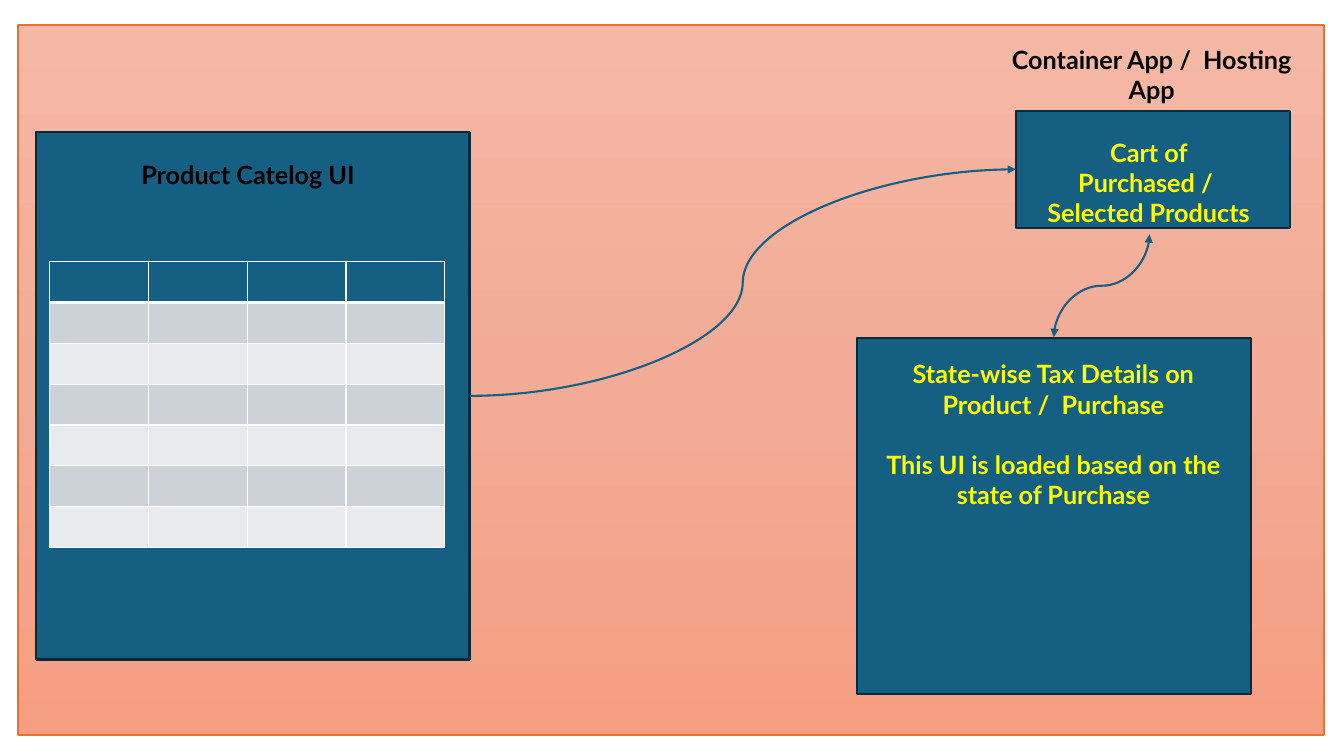
from lxml.etree import SubElement
from pptx import Presentation
from pptx.dml.color import RGBColor
from pptx.enum.shapes import MSO_CONNECTOR, MSO_SHAPE
from pptx.enum.text import MSO_AUTO_SIZE, PP_ALIGN
from pptx.oxml import parse_xml
from pptx.oxml.ns import nsdecls, qn
from pptx.util import Pt

HUES = {
    "blue": "156082", "navy": "092A39", "orange": "E97132",
    "white": "FFFFFF", "black": "000000", "yellow": "FFFF00",
    "dark": "CCD2D8", "light": "E8EAED",
    "top": "F5B8A5", "mid": "F2AB96", "base": "F59E82",
}


def hue(name):
    return RGBColor.from_string(HUES[name])


class Board:
    """Draws styled elements on the current slide, with lengths in points."""

    font = "Lato"
    size = 18

    def __init__(self, slide):
        self.slide = slide

    def panel(self, x, y, w, h, fill="blue", line="navy", width=1.5):
        box = self.slide.shapes.add_shape(
            MSO_SHAPE.RECTANGLE, Pt(x), Pt(y), Pt(w), Pt(h))
        box.shadow.inherit = False
        if isinstance(fill, tuple):
            stops = "".join(
                f'<a:gs pos="{i * 50000}"><a:srgbClr val="{HUES[name]}"/></a:gs>'
                for i, name in enumerate(fill))
            box._element.spPr.insert(2, parse_xml(
                f'<a:gradFill {nsdecls("a")}><a:gsLst>{stops}</a:gsLst>'
                '<a:lin ang="5400000" scaled="0"/></a:gradFill>'))
        else:
            box.fill.solid()
            box.fill.fore_color.rgb = hue(fill)
        box.line.color.rgb = hue(line)
        box.line.width = Pt(width)

    def label(self, x, y, w, h, color, *texts):
        box = self.slide.shapes.add_textbox(Pt(x), Pt(y), Pt(w), Pt(h))
        frame = box.text_frame
        frame.word_wrap = True
        frame.auto_size = MSO_AUTO_SIZE.SHAPE_TO_FIT_TEXT
        for i, text in enumerate(texts):
            para = frame.add_paragraph() if i else frame.paragraphs[0]
            para.alignment = PP_ALIGN.CENTER
            if i:
                para.space_before = Pt(21.6)
            run = para.add_run()
            run.text = text
            run.font.name = self.font
            run.font.size = Pt(self.size)
            run.font.bold = True
            run.font.color.rgb = hue(color)

    def grid(self, x, y, w, h, rows, cols):
        table = self.slide.shapes.add_table(
            rows, cols, Pt(x), Pt(y), Pt(w), Pt(h)).table
        for r in range(rows):
            for c in range(cols):
                cell = table.cell(r, c)
                cell.fill.solid()
                shade = ("light", "dark")[r % 2] if r else "blue"
                cell.fill.fore_color.rgb = hue(shade)
                self.edge(cell, top=3 if r == 1 else 1, base=1 if r else 3)

    def edge(self, cell, top, base):
        props = cell._tc.get_or_add_tcPr()
        sides = {"lnL": 1, "lnR": 1, "lnT": top, "lnB": base}
        for i, (tag, width) in enumerate(sides.items()):
            props.insert(i, parse_xml(
                f'<a:{tag} {nsdecls("a")} w="{Pt(width)}"><a:solidFill>'
                f'<a:srgbClr val="{HUES["white"]}"/></a:solidFill></a:{tag}>'))

    def curve(self, x1, y1, x2, y2, ends, turn=0):
        link = self.slide.shapes.add_connector(
            MSO_CONNECTOR.CURVE, Pt(x1), Pt(y1), Pt(x2), Pt(y2))
        link.line.color.rgb = hue("blue")
        link.line.width = Pt(1.5)
        props = link._element.spPr
        if turn:
            props.get_or_add_xfrm().set("rot", str(turn * 60000))
        for end in ends:
            SubElement(link.line._get_or_add_ln(), qn(f"a:{end}"),
                       type="triangle")
        SubElement(props, qn("a:effectLst"))


def main():
    deck = Presentation()
    deck.slide_width, deck.slide_height = Pt(960), Pt(540)
    board = Board(deck.slides.add_slide(deck.slide_layouts[6]))

    board.panel(12.8, 18, 933, 507, ("top", "mid", "base"), "orange", 1)
    board.label(711.4, 28, 222.5, 51, "black", "Container App /  Hosting App")

    board.panel(25.8, 94.5, 309.6, 376.6)
    board.label(31.7, 110.2, 291, 29, "black", "Product Catelog UI")
    board.grid(35.4, 186.8, 282.4, 204.4, 7, 4)

    board.panel(725.7, 79.2, 195.5, 83.8)
    board.label(737.3, 94.5, 166.3, 72.7, "yellow",
                "Cart of Purchased /  Selected Products")
    board.curve(335.4, 282.8, 725.7, 121, ["tailEnd"])

    board.panel(612, 241.5, 281.6, 254.3)
    board.label(619.9, 252.7, 265, 116.6, "yellow",
                "State-wise Tax Details on Product /  Purchase",
                "This UI is loaded based on the state of Purchase")
    board.curve(750.2, 169.9, 823.6, 238.3, ["headEnd", "tailEnd"], 90)

    deck.save("out.pptx")


if __name__ == "__main__":
    main()
